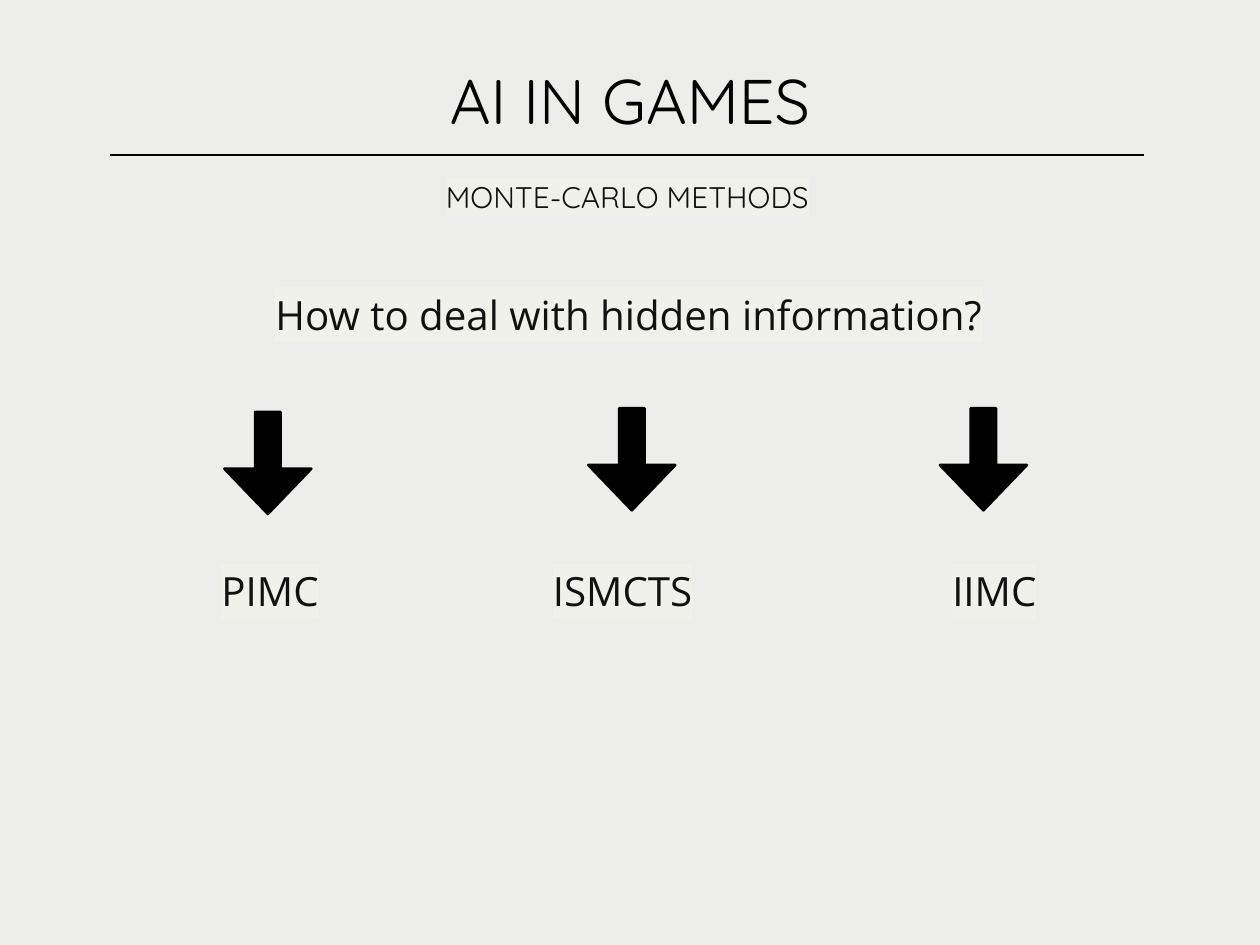
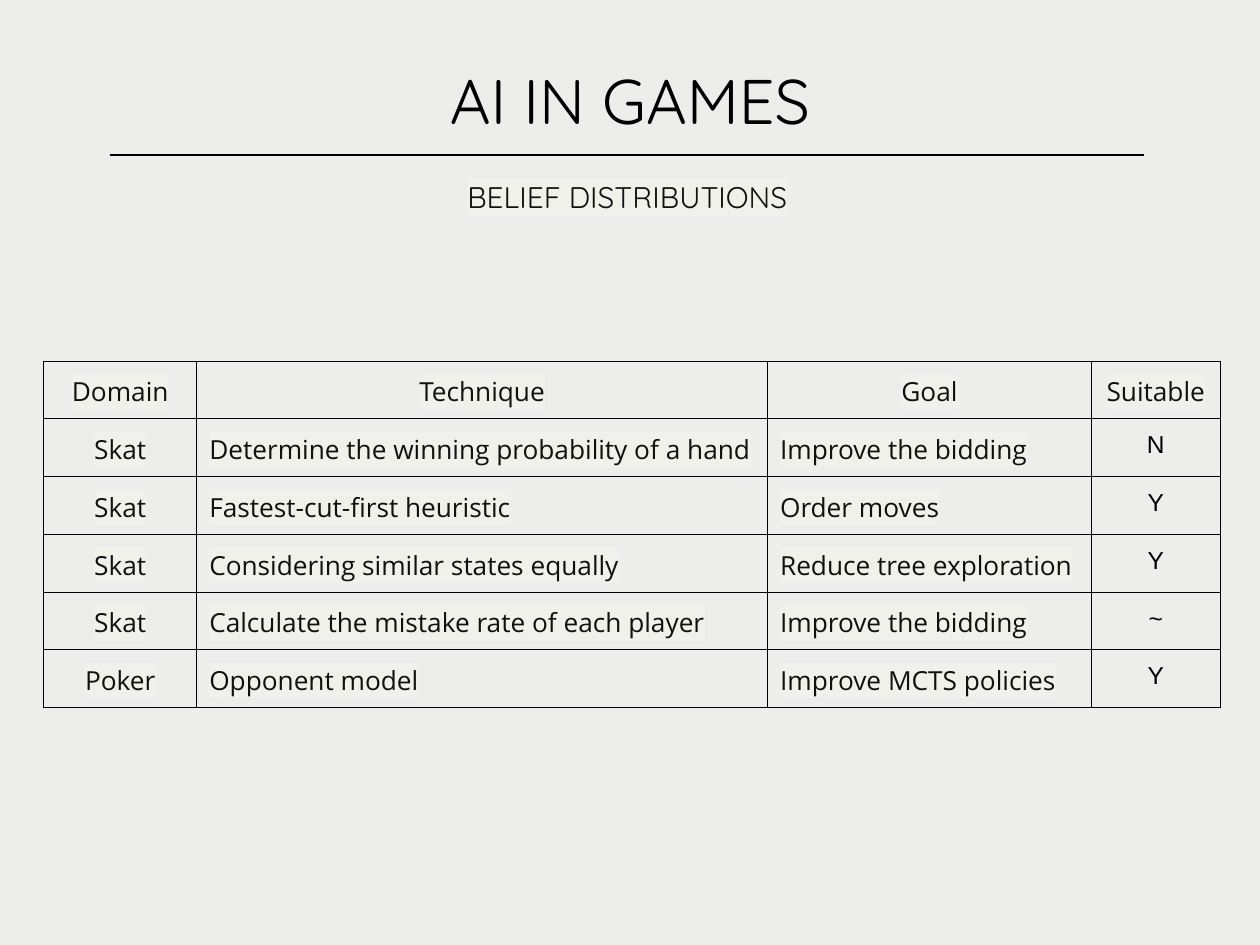
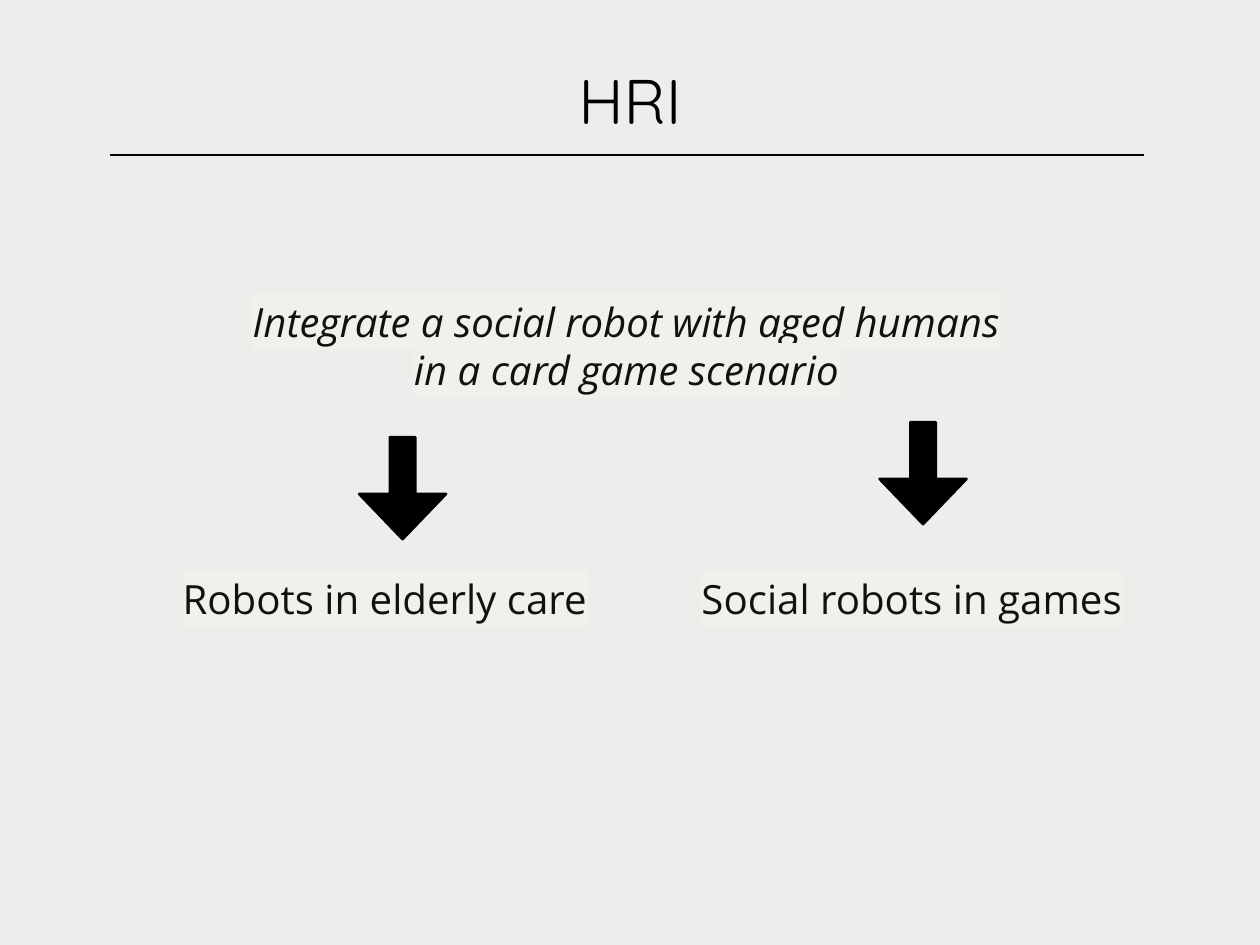
from collections import namedtuple

from lxml.etree import SubElement
from pptx import Presentation
from pptx.dml.color import RGBColor
from pptx.enum.shapes import MSO_CONNECTOR as Connector, MSO_SHAPE as Preset
from pptx.enum.text import MSO_ANCHOR as Anchor, MSO_AUTO_SIZE as AutoSize, PP_ALIGN as Align
from pptx.oxml.ns import qn
from pptx.util import Pt

# Shared look
PAPER, BLACK, INK, MARKER = "EDEEEB", "000000", "111111", "F0F1EB"
HEAD_FONT, BODY_FONT, MARK_FONT = "Quicksand", "Open Sans", "Arial"
INSET = 7.2

Box = namedtuple("Box", "left top width height")
Branch = namedtuple("Branch", "label label_left label_width arrow_left arrow_top")

TITLE_BOX = Box(65.5, 0, 589, 85.7)
SUBTITLE_BOX = Box(64, 88.6, 589, 41)
RULE = Box(62.6, 88.6, 591.1, 0)
ARROW_WIDTH, ARROW_HEIGHT = 49.7, 58.3
LABEL_TOP, LABEL_HEIGHT = 158.2, 41

TABLE_BOX = Box(25, 206.4, 672.4, 198)
COLUMN_WIDTHS = (87.4, 326.2, 185.1, 73.7)
TECHNIQUES = [
    ("Domain", "Technique", "Goal", "Suitable"),
    ("Skat", "Determine the winning probability of a hand", "Improve the bidding", "N"),
    ("Skat", "Fastest-cut-first heuristic", "Order moves", "Y"),
    ("Skat", "Considering similar states equally", "Reduce tree exploration", "Y"),
    ("Skat", "Calculate the mistake rate of each player", "Improve the bidding", "~"),
    ("Poker", "Opponent model", "Improve MCTS policies", "Y"),
]


def color(value):
    return RGBColor.from_string(value)


def points(box):
    return [Pt(length) for length in box]


def write(frame, text, size, font=BODY_FONT, ink=INK, marker=MARKER,
          align=Align.LEFT, italic=False):
    """Fill a text frame with one formatted paragraph and return it."""
    frame.text = text
    para = frame.paragraphs[0]
    para.alignment = align
    span = para.runs[0]
    span.font.size, span.font.italic = Pt(size), italic
    span.font.color.rgb = color(ink)
    if marker:
        highlight = SubElement(span.font._element, qn("a:highlight"))
        SubElement(highlight, qn("a:srgbClr"), val=marker)
    span.font.name = font
    return para


def set_insets(frame):
    frame.margin_left = frame.margin_right = Pt(INSET)
    frame.margin_top = frame.margin_bottom = Pt(INSET)


def add_text(page, box, text, size, **style):
    frame = page.shapes.add_textbox(*points(box)).text_frame
    frame.word_wrap = True
    set_insets(frame)
    return write(frame, text, size, **style)


def add_arrow(page, left, top):
    arrow = page.shapes.add_shape(
        Preset.DOWN_ARROW, *points((left, top, ARROW_WIDTH, ARROW_HEIGHT)))
    arrow.shadow.inherit = False
    arrow.adjustments[0], arrow.adjustments[1] = 0.292, 0.52
    arrow.fill.solid()
    arrow.fill.fore_color.rgb = arrow.line.color.rgb = color(BLACK)
    arrow.line.width = Pt(1.5)


def add_page(deck, title, subtitle=None):
    """Add a slide with its title, the rule below it and a subtitle."""
    page = deck.slides.add_slide(deck.slide_layouts.get_by_name("Title Only"))
    heading = page.shapes.title
    heading.left, heading.top, heading.width, heading.height = points(TITLE_BOX)
    frame = heading.text_frame
    frame.auto_size, frame.vertical_anchor = AutoSize.NONE, Anchor.BOTTOM
    set_insets(frame)
    write(frame, title, 36, font=HEAD_FONT, ink=BLACK, marker=None, align=Align.CENTER)

    rule = page.shapes.add_connector(
        Connector.STRAIGHT,
        *points((RULE.left, RULE.top, RULE.left + RULE.width, RULE.top)))
    rule.line.color.rgb, rule.line.width = color(BLACK), Pt(1.5)
    SubElement(rule._element.spPr, qn("a:effectLst"))

    if subtitle:
        para = add_text(page, SUBTITLE_BOX, subtitle, 17, font=HEAD_FONT, align=Align.CENTER)
        para.line_spacing = 1.3
    return page


def add_branches(page, box, statement, branches, italic=False):
    """Write a statement in the box, with arrows down to its branches."""
    add_text(page, box, statement, 23, align=Align.CENTER, italic=italic)
    for branch in branches:
        add_arrow(page, box.left + branch.arrow_left, box.top + branch.arrow_top)
        label_box = Box(box.left + branch.label_left, box.top + LABEL_TOP,
                        branch.label_width, LABEL_HEIGHT)
        add_text(page, label_box, branch.label, 23)


def add_borders(cell):
    properties = cell._tc.get_or_add_tcPr()
    for side in ("lnL", "lnR", "lnT", "lnB"):
        edge = SubElement(properties, qn(f"a:{side}"), w=str(Pt(0.75)))
        SubElement(SubElement(edge, qn("a:solidFill")), qn("a:srgbClr"), val=BLACK)


def add_technique_table(page, box, rows):
    table = page.shapes.add_table(len(rows), len(COLUMN_WIDTHS), *points(box)).table
    table.first_row = table.horz_banding = False
    for column, width in zip(table.columns, COLUMN_WIDTHS):
        column.width = Pt(width)
    for row_index, row in enumerate(rows):
        for column_index, text in enumerate(row):
            cell = table.cell(row_index, column_index)
            set_insets(cell)
            add_borders(cell)
            cell.fill.background()
            centred = row_index == 0 or column_index in (0, 3)
            align = Align.CENTER if centred else Align.LEFT
            if row_index and column_index == 3:
                write(cell.text_frame, text, 14, font=MARK_FONT, ink=BLACK,
                      marker=None, align=align)
            else:
                write(cell.text_frame, text, 15, align=align)


def main():
    deck = Presentation()
    deck.slide_width, deck.slide_height = Pt(720), Pt(540)
    backdrop = deck.slide_master.background.fill
    backdrop.solid()
    backdrop.fore_color.rgb = color(PAPER)

    # Monte-Carlo methods
    page = add_page(deck, "AI IN GAMES", "MONTE-CARLO METHODS")
    add_branches(page, Box(133.2, 158.4, 452.9, 54), "How to deal with hidden information?", [
        Branch("PIMC", -13.7, 78, -5, 77),
        Branch("ISMCTS", 175.7, 104, 203, 74.9),
        Branch("IIMC", 403.9, 78, 403.9, 74.9),
    ])

    # Belief distributions
    page = add_page(deck, "AI IN GAMES", "BELIEF DISTRIBUTIONS")
    add_technique_table(page, TABLE_BOX, TECHNIQUES)

    # Human-robot interaction
    page = add_page(deck, "HRI")
    add_branches(
        page, Box(132.5, 162.7, 451.4, 91.4),
        "Integrate a social robot with aged humans in a card game scenario", [
            Branch("Robots in elderly care", -35.3, 284, 72.7, 87.1),
            Branch("Social robots in games", 261.3, 269, 370.1, 78.5),
        ], italic=True)

    deck.save("out.pptx")


if __name__ == "__main__":
    main()
